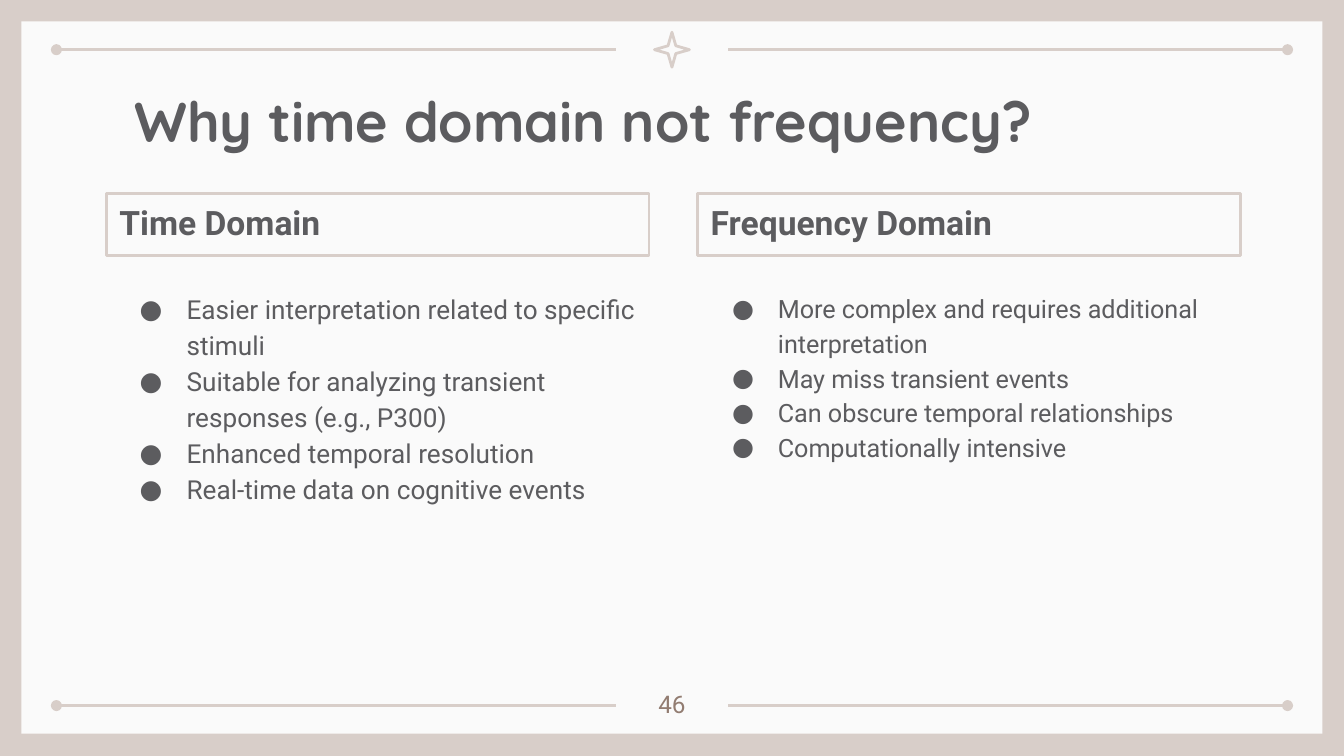
import dataclasses

import pptx
import pptx.dml.color
import pptx.enum.dml
import pptx.enum.shapes
import pptx.enum.text
import pptx.oxml
import pptx.oxml.ns
import pptx.util

SHAPE = pptx.enum.shapes.MSO_SHAPE
ALIGN = pptx.enum.text.PP_ALIGN
ANCHOR = pptx.enum.text.MSO_ANCHOR


@dataclasses.dataclass(frozen=True)
class Theme:
    frame: str = "D8CEC9"
    panel: str = "FAFAFA"
    ink: str = "5C5C5F"
    number: str = "927C71"
    title_font: str = "Quicksand"
    body_font: str = "Roboto"
    title_size: float = 30
    heading_size: float = 18
    number_size: float = 13
    line_width: float = 1.5


def rgb(value):
    return pptx.dml.color.RGBColor.from_string(value)


def add_xml(parent, tag, **attributes):
    child = pptx.oxml.parse_xml(f'<a:{tag} {pptx.oxml.ns.nsdecls("a")}/>')
    for name, value in attributes.items():
        child.set(name, value)
    parent.append(child)
    return child


class SlideBuilder:
    """Places elements on a grid of square cells, 100 to the slide's width."""

    def __init__(self, prs, theme):
        self.theme = theme
        self.cell = prs.slide_width / 100
        self.s = prs.slides.add_slide(prs.slide_layouts[5])
        fill = self.s.background.fill
        fill.solid()
        fill.fore_color.rgb = rgb(theme.frame)

    def grid(self, *cells):
        return [pptx.util.Emu(round(n * self.cell)) for n in cells]

    def outline(self, line):
        line.color.rgb = rgb(self.theme.frame)
        line.width = pptx.util.Pt(self.theme.line_width)

    def shape(self, kind, at, fill=None, outlined=True):
        sp = self.s.shapes.add_shape(kind, *self.grid(*at))
        sp.shadow.inherit = False
        if fill:
            sp.fill.solid()
            sp.fill.fore_color.rgb = rgb(fill)
        else:
            sp.fill.background()
        if outlined:
            self.outline(sp.line)
        else:
            sp.line.fill.background()
        return sp

    def rule(self, outer, inner, y):
        """Draw a horizontal line with a dot at its outer end."""
        line = self.s.shapes.add_connector(
            pptx.enum.shapes.MSO_CONNECTOR.STRAIGHT, *self.grid(outer, y, inner, y))
        self.outline(line.line)
        spPr = line.element.spPr
        add_xml(spPr.find(pptx.oxml.ns.qn("a:ln")), "headEnd", type="oval")
        add_xml(spPr, "effectLst")

    def set_text(self, sp, lines, size, color=None, font=None, bold=False, spacing=1.0,
                 align=ALIGN.LEFT, anchor=ANCHOR.TOP, left=1, bullet_indent=None):
        tf = sp.text_frame
        inset, left_inset = self.grid(1, left)
        frame_format = {
            "word_wrap": True, "auto_size": pptx.enum.text.MSO_AUTO_SIZE.NONE,
            "vertical_anchor": anchor, "margin_left": left_inset,
            "margin_top": inset, "margin_right": inset, "margin_bottom": inset}
        for name, value in frame_format.items():
            setattr(tf, name, value)
        ink = rgb(color or self.theme.ink)
        font_format = {"name": font or self.theme.body_font,
                       "size": pptx.util.Pt(size), "bold": bold}
        for i, text in enumerate(lines):
            p = tf.paragraphs[0] if i == 0 else tf.add_paragraph()
            p.alignment = align
            p.line_spacing = spacing
            if bullet_indent:
                self.bullet(p, bullet_indent)
            r = p.add_run()
            r.text = text
            for name, value in font_format.items():
                setattr(r.font, name, value)
            r.font.color.rgb = ink

    def bullet(self, p, indent):
        margin, hang = self.grid(5, indent)
        pPr = p._p.get_or_add_pPr()
        pPr.set("marL", str(margin))
        pPr.set("indent", str(-hang))
        add_xml(add_xml(pPr, "buClr"), "srgbClr", val=self.theme.ink)
        add_xml(pPr, "buFont", typeface=self.theme.body_font)
        add_xml(pPr, "buChar", char="●")

    def title(self, text, at):
        sp = self.s.shapes.title
        sp.left, sp.top, sp.width, sp.height = self.grid(*at)
        sp.element.getparent().append(sp.element)  # bring in front of the panel
        self.set_text(sp, [text], self.theme.title_size, font=self.theme.title_font,
                      bold=True, spacing=1.1, left=2.1)

    def heading(self, text, at):
        self.set_text(self.shape(SHAPE.RECTANGLE, at), [text], self.theme.heading_size,
                      bold=True, spacing=1.15, anchor=ANCHOR.BOTTOM)

    def text(self, lines, at, size, **style):
        self.set_text(self.s.shapes.add_textbox(*self.grid(*at)), lines, size, **style)


COLUMNS = [
    ("Time Domain", 7.9, 14, 3.5, [
        "Easier interpretation related to specific stimuli",
        "Suitable for analyzing transient responses (e.g., P300)",
        "Enhanced temporal resolution",
        "Real-time data on cognitive events"]),
    ("Frequency Domain", 51.9, 13.5, 3.4, [
        "More complex and requires additional interpretation",
        "May miss transient events",
        "Can obscure temporal relationships",
        "Computationally intensive"]),
]


def main():
    prs = pptx.Presentation()
    prs.slide_width = pptx.util.Inches(10)
    prs.slide_height = prs.slide_width * 9 // 16
    theme = Theme()
    b = SlideBuilder(prs, theme)

    b.shape(SHAPE.RECTANGLE, (1.6, 1.6, 96.8, 53), fill=theme.panel, outlined=False)
    for y in (3.7, 52.5):
        for outer, inner in ((4.2, 45.8), (95.8, 54.2)):
            b.rule(outer, inner, y)
    star = b.shape(SHAPE.STAR_4_POINT, (48.7, 2.4, 2.6, 2.6))
    star.adjustments[0] = 0.157

    b.title("Why time domain not frequency?", (7.9, 4.9, 84.3, 6.3))
    for heading, x, size, indent, points in COLUMNS:
        b.text(points, (x, 20.5, 40.4, 29.9), size, spacing=1.15, bullet_indent=indent)
        b.heading(heading, (x, 14.4, 40.4, 4.6))
    b.text(["46"], (47, 50.3, 6, 3.6), theme.number_size, color=theme.number,
           align=ALIGN.CENTER)
    prs.save("out.pptx")


if __name__ == "__main__":
    main()
